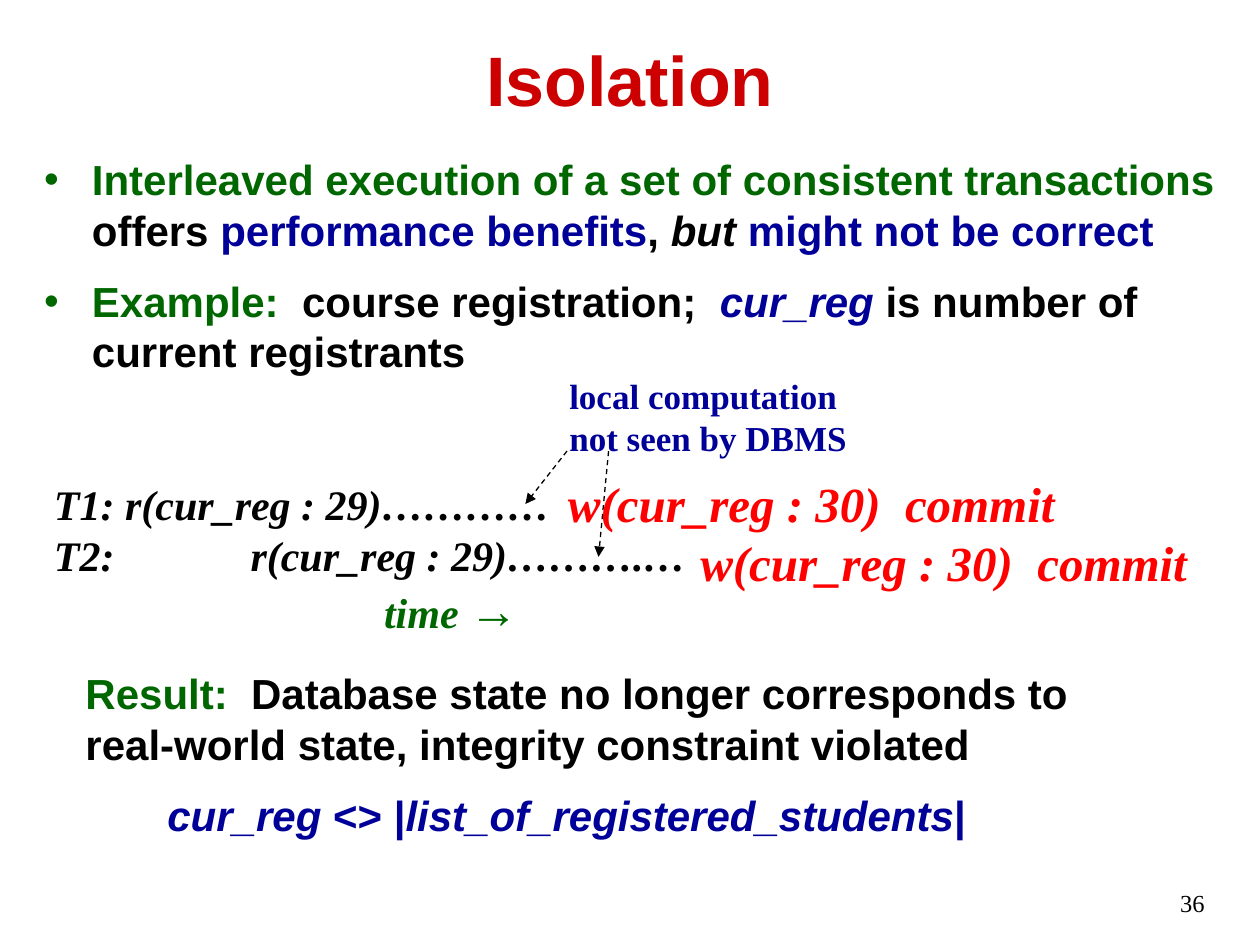
from dataclasses import dataclass

from lxml import etree
from pptx import Presentation
from pptx import util as u
from pptx.dml.color import RGBColor
from pptx.enum import dml, shapes, text
from pptx.oxml import ns


@dataclass(frozen=True)
class Theme:
    sans: str = "Arial"
    serif: str = "Times New Roman"
    black: str = "000000"
    red: str = "CC0000"
    bright: str = "FF0000"
    green: str = "006600"
    blue: str = "000099"
    title: int = 40
    large: int = 28
    body: int = 24
    note: int = 20
    number: int = 14


THEME = Theme()


@dataclass(frozen=True)
class Span:
    words: str
    color: str = THEME.black
    size: int = THEME.body
    font: str = THEME.sans
    bold: bool = True
    italic: bool = False


@dataclass(frozen=True)
class Para:
    spans: tuple[Span, ...]
    before: float = 0
    margin: float = 0
    indent: float = 0
    bullet: str = ""
    align: text.PP_ALIGN = text.PP_ALIGN.LEFT


@dataclass(frozen=True)
class Arrow:
    start: tuple[float, float]
    end: tuple[float, float]


def serif(words: str, color: str = THEME.black, size: int = THEME.body,
          italic: bool = True, bold: bool = True) -> Span:
    return Span(words, color, size, THEME.serif, bold, italic)


def write(box, paras: list[Para], *, left: float, top: float, width: float, height: float,
          anchor: text.MSO_ANCHOR = text.MSO_ANCHOR.TOP, right_inset: float = 0.1) -> None:
    box.left, box.top, box.width, box.height = map(u.Inches, (left, top, width, height))
    frame = box.text_frame
    frame.word_wrap = True
    frame.auto_size = text.MSO_AUTO_SIZE.NONE
    frame.vertical_anchor = anchor
    frame.margin_right = u.Inches(right_inset)
    for index, item in enumerate(paras):
        para = frame.paragraphs[0] if index == 0 else frame.add_paragraph()
        para.alignment = item.align
        para.space_before = u.Pt(item.before)
        props = para._p.get_or_add_pPr()
        props.set("marL", str(u.Inches(item.margin)))
        props.set("indent", str(u.Inches(item.indent)))
        if item.bullet:
            etree.SubElement(props, ns.qn("a:buChar")).set("char", item.bullet)
        for part in item.spans:
            span = para.add_run()
            span.text = part.words
            font = span.font
            font.name, font.size = part.font, u.Pt(part.size)
            font.bold, font.italic = part.bold, part.italic
            font.color.rgb = RGBColor.from_string(part.color)


def add_text(page, paras: list[Para], **place: float) -> None:
    write(page.shapes.add_textbox(0, 0, 0, 0), paras, **place)


def add_arrow(page, arrow: Arrow) -> None:
    ends = map(u.Inches, (*arrow.start, *arrow.end))
    connector = page.shapes.add_connector(shapes.MSO_CONNECTOR.STRAIGHT, *ends)
    line = connector.line
    line.color.rgb = RGBColor.from_string(THEME.black)
    line.width = u.Pt(0.75)
    line.dash_style = dml.MSO_LINE.DASH
    etree.SubElement(line._get_or_add_ln(), ns.qn("a:tailEnd")).set("type", "triangle")
    etree.SubElement(connector._element.spPr, ns.qn("a:effectLst"))


def main() -> None:
    deck = Presentation()
    deck.slide_width, deck.slide_height = u.Inches(10), u.Inches(7.5)
    page = deck.slides.add_slide(deck.slide_layouts[1])

    write(page.shapes.title,
          [Para((Span("Isolation", THEME.red, THEME.title),), align=text.PP_ALIGN.CENTER)],
          left=0.75, top=0.25, width=8.5, height=0.75, anchor=text.MSO_ANCHOR.MIDDLE)

    points = [
        (4.8, (Span("Interleaved execution of a set of consistent transactions", THEME.green),
               Span(" offers "), Span("performance benefits", THEME.blue), Span(", "),
               Span("but ", italic=True), Span("might not be correct", THEME.blue))),
        (12, (Span("Example:", THEME.green), Span("  course registration;  "),
              Span("cur_reg", THEME.blue, italic=True),
              Span(" is number of current registrants"))),
    ]
    write(page.placeholders[1],
          [Para(spans, before, 0.38, -0.38, "•") for before, spans in points],
          left=0.25, top=1.17, width=9.5, height=2.75)

    add_text(page, [
        Para((serif("T1: r(cur_reg : 29)…………"),)),
        Para((serif("T2:\tr(cur_reg : 29)……….…"),), margin=1.56, indent=-1.56),
        Para((serif("time ", THEME.green), serif("→", THEME.green, THEME.large)), margin=2.62),
    ], left=0.33, top=3.75, width=5.22, height=1.37, right_inset=0)

    add_text(page, [
        Para((Span("Result:", THEME.green),
              Span("  Database state no longer corresponds to"))),
        Para((Span("real-world state, integrity constraint violated"),)),
        Para((Span("cur_reg", THEME.blue, italic=True), Span(" <> |", THEME.blue),
              Span("list_of_registered_students", THEME.blue, italic=True),
              Span("|", THEME.blue)), before=12, margin=0.65),
    ], left=0.58, top=5.25, width=9.08, height=1.5)

    add_text(page, [Para((serif(words, THEME.blue, THEME.note, italic=False),))
                    for words in ("local computation", "not seen by DBMS")],
             left=4.42, top=2.92, width=2.4, height=0.77, right_inset=0)

    for arrow in (Arrow((4.5, 3.58), (4.17, 4)), Arrow((4.83, 3.58), (4.75, 4.42))):
        add_arrow(page, arrow)

    for left, top, width in ((4.41, 3.71, 4.93), (5.46, 4.18, 4.2)):
        add_text(page, [Para((serif("w(cur_reg : 30)  commit", THEME.bright, THEME.large),))],
                 left=left, top=top, width=width, height=0.57)

    add_text(page, [Para((serif("36", size=THEME.number, italic=False, bold=False),),
                         align=text.PP_ALIGN.RIGHT)],
             left=7.58, top=7, width=2.08, height=0.33)

    deck.save("out.pptx")


main()
